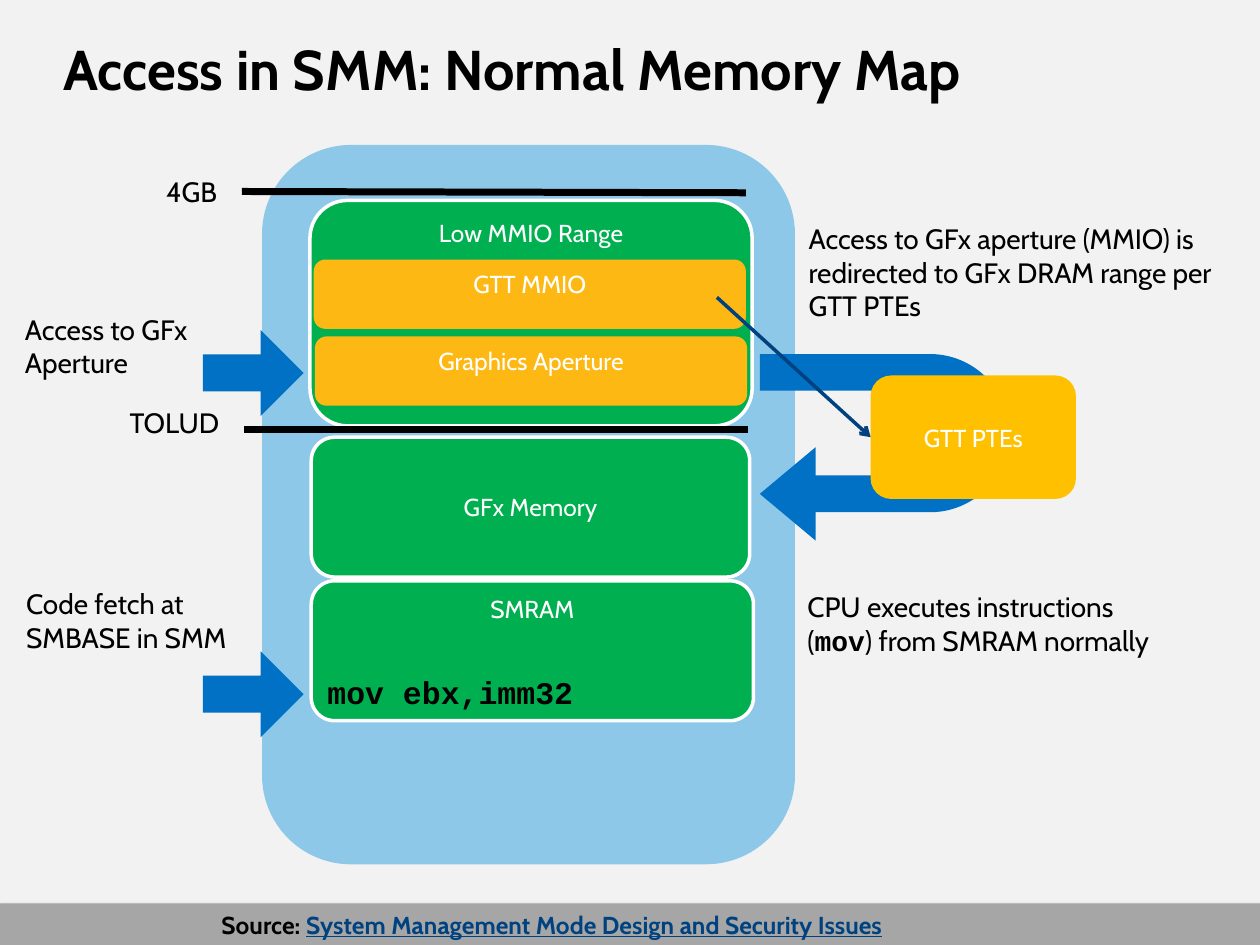
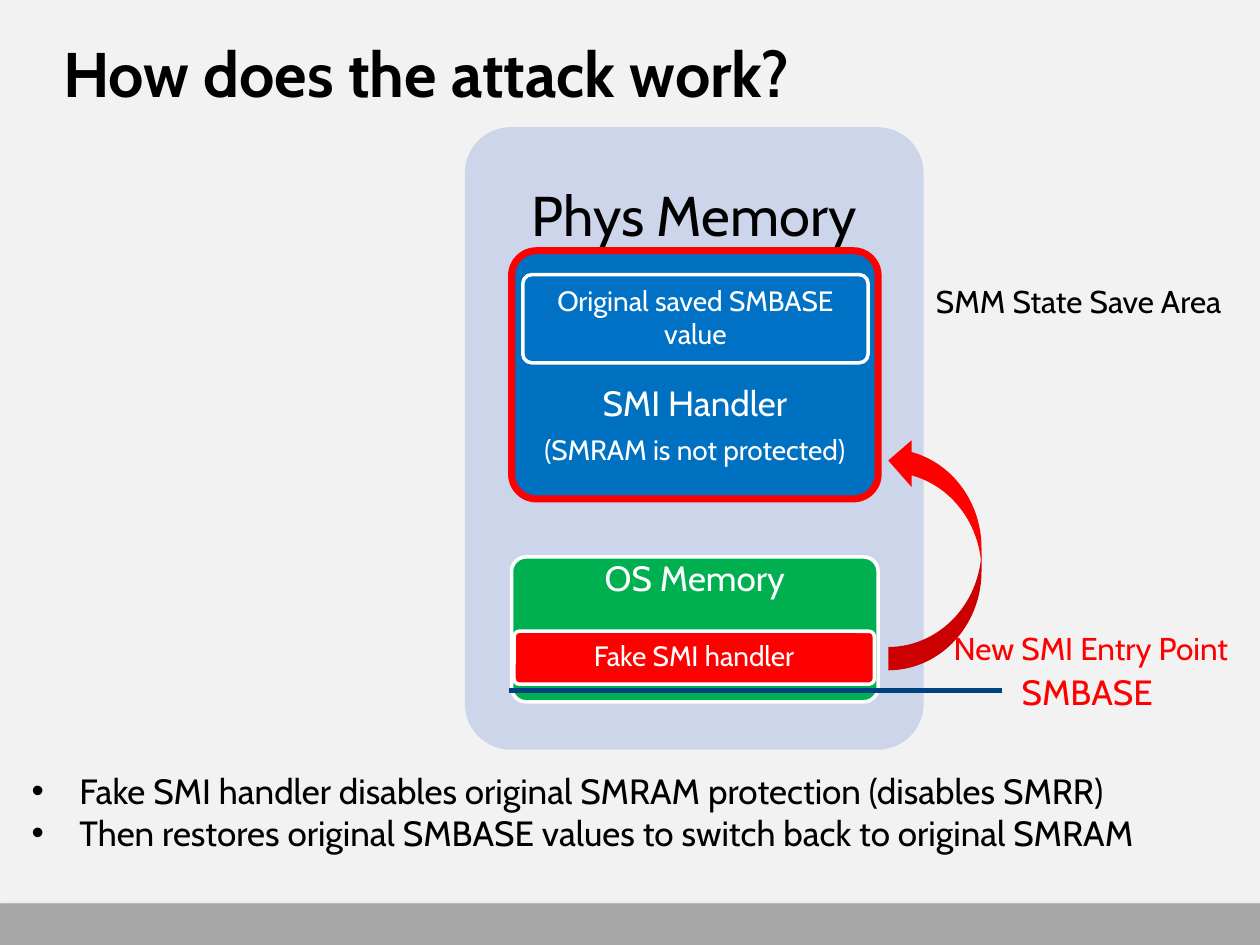
from pptx import Presentation
from pptx.dml.color import RGBColor
from pptx.enum.shapes import MSO_CONNECTOR, MSO_SHAPE
from pptx.enum.text import MSO_ANCHOR, MSO_AUTO_SIZE, PP_ALIGN
from pptx.oxml.ns import qn
from pptx.util import Inches, Pt
from lxml.etree import SubElement

FONT, CODE = "Cabin", "Courier New"
PAPER, BAND, BLACK, WHITE = "F2F2F2", "A6A6A6", "000000", "FFFFFF"
GREEN, AMBER, GOLD, RED = "00B050", "FDB813", "FFC000", "FF0000"
SKY, MIST, BLUE, DEEP, NAVY = "8DC8E8", "CCD5EA", "0071C5", "0070C0", "004280"
TOP, MIDDLE, BOTTOM = MSO_ANCHOR.TOP, MSO_ANCHOR.MIDDLE, MSO_ANCHOR.BOTTOM
LEFT, CENTER = PP_ALIGN.LEFT, PP_ALIGN.CENTER


def color(code):
    return RGBColor.from_string(code)


def place(shape, *box):
    shape.left, shape.top, shape.width, shape.height = map(Inches, box)


def write(shape, *paras, size=16, ink=BLACK, font=FONT, bold=False,
          align=LEFT, anchor=TOP, pad=None, space=None, gap=0):
    """Each para is a string or a list of (text, format) runs; pad maps sides to inches."""
    frame = shape.text_frame
    frame.word_wrap = True
    frame.auto_size = MSO_AUTO_SIZE.NONE
    frame.vertical_anchor = anchor
    for side, inches in (pad or {}).items():
        setattr(frame, f"margin_{side}", Inches(inches))
    for i, para in enumerate(paras):
        line = frame.add_paragraph() if i else frame.paragraphs[0]
        line.alignment = align
        line.space_before = Pt(gap if i else 0)
        line.line_spacing = space
        for text, style in [(para, {})] if isinstance(para, str) else para:
            run = line.add_run()
            run.text = text
            run.font.name = style.get("font", font)
            run.font.size = Pt(style.get("size", size))
            run.font.bold = style.get("bold", bold)
            run.font.underline = style.get("under")
            run.font.color.rgb = color(style.get("ink", ink))


def label(slide, box, *paras, **style):
    write(slide.shapes.add_textbox(*map(Inches, box)), *paras, **style)


def draw(slide, kind, box, fill, edge=None, width=2, adjust=(), shadow=False):
    shape = slide.shapes.add_shape(kind, *map(Inches, box))
    if not shadow:
        shape.shadow.inherit = False
    shape.fill.solid()
    shape.fill.fore_color.rgb = color(fill)
    if edge:
        shape.line.color.rgb = color(edge)
        shape.line.width = Pt(width)
    else:
        shape.line.fill.background()
    for i, value in enumerate(adjust):
        shape.adjustments[i] = value
    return shape


def block(slide, box, fill, *paras, edge=None, width=2, curve=0.167, **style):
    """Rounded rectangle with centred text."""
    shape = draw(slide, MSO_SHAPE.ROUNDED_RECTANGLE, box, fill, edge, width, [curve])
    if paras:
        write(shape, *paras, **{"size": 14, "ink": WHITE, "align": CENTER, **style})
    return shape


def rule(slide, start, end, ink, width, arrow=False):
    line = slide.shapes.add_connector(
        MSO_CONNECTOR.STRAIGHT, *map(Inches, (*start, *end)))
    line.line.color.rgb = color(ink)
    line.line.width = Pt(width)
    props = line._element.spPr
    if arrow:
        SubElement(props.find(qn("a:ln")), qn("a:tailEnd"), type="arrow")
    SubElement(props, qn("a:effectLst"))
    return line


def start_slide(deck, layout, title, size):
    slide = deck.slides.add_slide(deck.slide_layouts[layout])
    draw(slide, MSO_SHAPE.RECTANGLE, (0, 7.17, 10.01, 0.33), BAND, shadow=True)
    head = slide.shapes.title
    place(head, 0.5, 0.27, 9, 1.08)
    write(head, title, size=size, bold=True,
          pad=dict.fromkeys(("left", "top", "right", "bottom"), 0))
    return slide


def map_slide(deck):
    slide = start_slide(deck, 5, "Access in SMM: Normal Memory Map", 32)
    block(slide, (2.08, 1.15, 4.23, 5.71), SKY)
    block(slide, (2.46, 1.59, 3.51, 1.79), GREEN, "Low MMIO Range", edge=WHITE)
    block(slide, (2.47, 4.61, 3.51, 1.11), GREEN, "SMRAM", edge=WHITE)
    rule(slide, (1.92, 1.52), (5.92, 1.53), BLACK, 4)
    rule(slide, (1.94, 3.41), (5.94, 3.41), BLACK, 4)
    block(slide, (2.5, 2.67, 3.43, 0.55), AMBER, "Graphics Aperture")
    block(slide, (2.49, 2.06, 3.43, 0.55), AMBER, "GTT MMIO")
    uturn = draw(slide, MSO_SHAPE.U_TURN_ARROW, (6.28, 2.56, 1.48, 1.98), BLUE,
                 adjust=(0.197, 0.25, 0.299, 0.439, 1))
    uturn.rotation = 90
    block(slide, (2.47, 3.47, 3.48, 1.11), GREEN, "GFx Memory",
          edge=WHITE, anchor=MIDDLE)
    for top in (2.62, 5.17):
        draw(slide, MSO_SHAPE.RIGHT_ARROW, (1.61, top, 0.8, 0.68), BLUE,
             adjust=(0.432, 0.5))
    table = block(slide, (6.91, 2.98, 1.63, 0.98), GOLD, "GTT PTEs", anchor=MIDDLE)
    link = rule(slide, (5.69, 2.36), (6.91, 3.47), NAVY, 2, arrow=True)
    link.end_connect(table, 1)

    for box, text in (
        ((0.93, 3.17, 1.06, 0.37), "TOLUD"),
        ((1.22, 1.34, 0.7, 0.37), "4GB"),
        ((0.11, 4.61, 2.02, 0.64), "Code fetch at SMBASE in SMM"),
        ((0.1, 2.43, 1.86, 0.64), "Access to GFx Aperture"),
        ((6.32, 1.71, 3.57, 0.91),
         "Access to GFx aperture (MMIO) is redirected to GFx DRAM range per GTT PTEs"),
        ((6.31, 4.63, 2.93, 1.21),
         [("CPU executes instructions (", {}), ("mov", {"font": CODE, "bold": True}),
          (") from SMRAM normally", {})]),
    ):
        label(slide, box, text)
    label(slide, (2.5, 5.29, 2.3, 0.4), "mov ebx,imm32", size=18, font=CODE, bold=True)
    label(slide, (1.66, 7.17, 7.07, 0.34),
          [("Source: ", {}), ("System Management Mode Design and Security Issues",
                              {"ink": NAVY, "under": True})], size=14, bold=True)


def attack_slide(deck):
    slide = start_slide(deck, 1, "How does the attack work?", 36)
    block(slide, (3.69, 1.01, 3.64, 4.94), MIST, "Phys Memory", curve=0.1,
          size=32, ink=BLACK, space=0.9, pad={"top": 0.38})
    block(slide, (4.06, 1.99, 2.91, 1.97), DEEP, "SMI Handler",
          [("(SMRAM is not protected)", {"size": 16})], edge=RED, width=4, curve=0.1,
          size=20, space=0.9, gap=7, anchor=BOTTOM, pad={"bottom": 0.2})
    block(slide, (4.06, 4.42, 2.91, 1.15), GREEN, "OS Memory", edge=WHITE, curve=0.1,
          size=20, space=0.9, pad={"top": 0})
    rule(slide, (7.95, 5.48), (4.04, 5.48), NAVY, 3)
    block(slide, (4.08, 5.01, 2.86, 0.42), RED, "Fake SMI handler",
          edge=WHITE, curve=0.1, size=16)
    swoop = draw(slide, MSO_SHAPE.CURVED_LEFT_ARROW, (7.05, 3.47, 0.74, 1.85), RED)
    swoop._element.spPr.xfrm.set("flipV", "1")
    block(slide, (4.15, 2.18, 2.74, 0.7), BLUE, "Original saved SMBASE value",
          edge=WHITE, curve=0.1, size=16)
    label(slide, (8.01, 5.27, 1.42, 0.44), "SMBASE", size=20, ink=RED)
    label(slide, (7.33, 2.19, 2.72, 0.4), "SMM State Save Area", size=18)
    label(slide, (7.47, 4.94, 2.52, 0.4), "New SMI Entry Point", size=18, ink=RED)

    notes = slide.placeholders[1]
    place(notes, 0.15, 6.06, 9.71, 0.77)
    write(notes, "Fake SMI handler disables original SMRAM protection (disables SMRR)",
          "Then restores original SMBASE values to switch back to original SMRAM", size=20)
    for line in notes.text_frame.paragraphs:
        props = line._p.get_or_add_pPr()
        props.set("marL", str(Inches(0.38)))
        props.set("indent", str(-Inches(0.38)))


def main():
    deck = Presentation()
    deck.slide_width, deck.slide_height = Inches(10), Inches(7.5)
    paper = deck.slide_master.background.fill
    paper.solid()
    paper.fore_color.rgb = color(PAPER)
    map_slide(deck)
    attack_slide(deck)
    deck.save("out.pptx")


if __name__ == "__main__":
    main()
